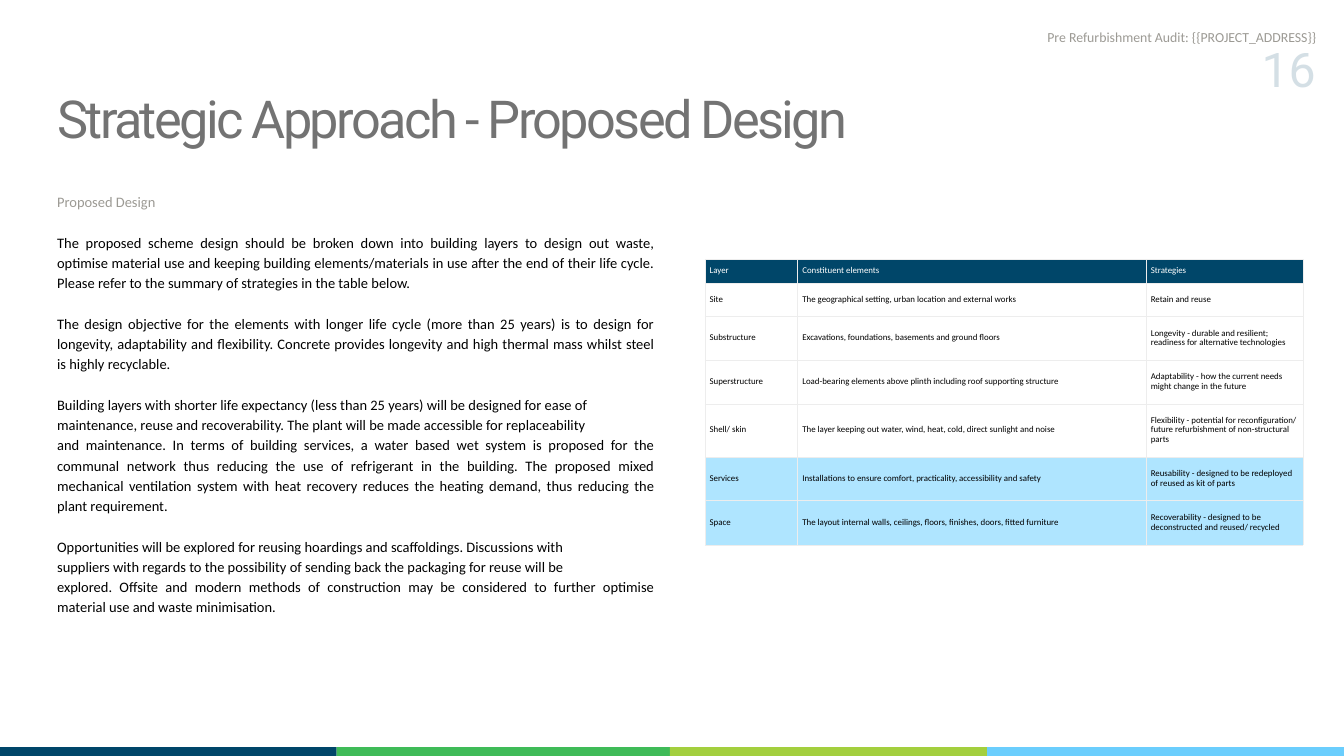
from dataclasses import dataclass
from typing import Any, NamedTuple, Optional

from lxml import etree
from pptx import Presentation
from pptx.dml.color import RGBColor
from pptx.enum.shapes import MSO_SHAPE
from pptx.enum.text import MSO_ANCHOR, MSO_AUTO_SIZE, PP_ALIGN
from pptx.oxml.ns import qn
from pptx.util import Pt

LEFT, RIGHT, JUSTIFY = PP_ALIGN.LEFT, PP_ALIGN.RIGHT, PP_ALIGN.JUSTIFY
TOP, MIDDLE = MSO_ANCHOR.TOP, MSO_ANCHOR.MIDDLE
NO_AUTOFIT = MSO_AUTO_SIZE.NONE
RECTANGLE = MSO_SHAPE.RECTANGLE
SLIDE_WIDTH, SLIDE_HEIGHT = 1440, 810


@dataclass(frozen=True)
class TextStyle:
    font: str
    size: float
    color: str
    leading: float
    align: Any = LEFT
    tracking: float = 0
    opacity: Optional[int] = None


@dataclass(frozen=True)
class Theme:
    navy: str = "004669"
    green: str = "3FBB58"
    lime: str = "A3CF3E"
    sky: str = "6BCEFD"
    pale_sky: str = "AFE5FF"
    white: str = "FFFFFF"
    rule: str = "EDEDED"
    rule_width: float = 0.59
    title: TextStyle = TextStyle("Roboto", 56, "737373", 50.4, tracking=-2.8)
    page_number: TextStyle = TextStyle("Roboto", 51.6, "004669", 72.3, RIGHT, opacity=17)
    running_head: TextStyle = TextStyle("Calibri", 14.8, "9C9A94", 20.6, RIGHT)
    subheading: TextStyle = TextStyle("Calibri", 15.5, "9C9A94", 21.7, JUSTIFY)
    body: TextStyle = TextStyle("Calibri", 15.5, "000000", 21.7, JUSTIFY)
    table_head: TextStyle = TextStyle("Calibri", 9.5, "FFFFFF", 10.3)
    table_body: TextStyle = TextStyle("Calibri", 9.5, "000000", 10.3)


class Box(NamedTuple):
    left: float
    top: float
    width: float
    height: float


class LayerRow(NamedTuple):
    height: float
    layer: str
    elements: str
    strategy: str
    fill: str
    style: TextStyle


class Band(NamedTuple):
    left: float
    right: float
    color: str


THEME = Theme()

SUBHEADING = "Proposed Design"
BODY_BLOCKS = [
    ["The proposed scheme design should be broken down into building layers to design out waste, "
     "optimise material use and keeping building elements/materials in use after the end of their "
     "life cycle. Please refer to the summary of strategies in the table below."],
    ["The design objective for the elements with longer life cycle (more than 25 years) is to design "
     "for longevity, adaptability and flexibility. Concrete provides longevity and high thermal mass "
     "whilst steel is highly recyclable."],
    ["Building layers with shorter life expectancy (less than 25 years) will be designed for ease of",
     "maintenance, reuse and recoverability. The plant will be made accessible for replaceability",
     "and maintenance. In terms of building services, a water based wet system is proposed for the "
     "communal network thus reducing the use of refrigerant in the building. The proposed mixed "
     "mechanical ventilation system with heat recovery reduces the heating demand, thus reducing the "
     "plant requirement."],
    ["Opportunities will be explored for reusing hoardings and scaffoldings. Discussions with",
     "suppliers with regards to the possibility of sending back the packaging for reuse will be",
     "explored. Offsite and modern methods of construction may be considered to further optimise "
     "material use and waste minimisation."],
]

HEAD = (THEME.navy, THEME.table_head)
PLAIN = (THEME.white, THEME.table_body)
SHORT_LIFE = (THEME.pale_sky, THEME.table_body)
COLUMN_WIDTHS = [99.4, 373.4, 168]
LAYER_ROWS = [
    LayerRow(25.2, "Layer", "Constituent elements", "Strategies", *HEAD),
    LayerRow(36, "Site", "The geographical setting, urban location and external works",
             "Retain and reuse", *PLAIN),
    LayerRow(46.8, "Substructure", "Excavations, foundations, basements and ground floors",
             "Longevity - durable and resilient; readiness for alternative technologies", *PLAIN),
    LayerRow(46.8, "Superstructure",
             "Load-bearing elements above plinth including roof supporting structure",
             "Adaptability - how the current needs might change in the future", *PLAIN),
    LayerRow(56.9, "Shell/ skin",
             "The layer keeping out water, wind, heat, cold, direct sunlight and noise",
             "Flexibility - potential for reconfiguration/ future refurbishment of non-structural parts",
             *PLAIN),
    LayerRow(46.8, "Services",
             "Installations to ensure comfort, practicality, accessibility and safety",
             "Reusability - designed to be redeployed of reused as kit of parts", *SHORT_LIFE),
    LayerRow(47.5, "Space",
             "The layout internal walls, ceilings, floors, finishes, doors, fitted furniture",
             "Recoverability - designed to be deconstructed and reused/ recycled", *SHORT_LIFE),
]

BAND_TOP, BAND_HEIGHT = 800.6, 18.7
FOOTER_BANDS = [
    Band(0, 360.7, THEME.navy),
    Band(360.7, 717.8, THEME.green),
    Band(717.8, 1057.7, THEME.lime),
    Band(1057.7, 1452.2, THEME.sky),
]


def apply_format(target: Any, values: dict[str, Any]) -> None:
    for attribute, value in values.items():
        setattr(target, attribute, value)


def write_paragraph(paragraph: Any, text: str, style: TextStyle, space_before: float = 0) -> None:
    properties = paragraph._p.get_or_add_pPr()
    properties.set("marL", "0")
    properties.set("indent", "0")
    etree.SubElement(properties, qn("a:buNone"))
    apply_format(paragraph, {"alignment": style.align, "line_spacing": Pt(style.leading),
                             "space_before": Pt(space_before), "space_after": Pt(0)})
    run = paragraph.add_run()
    run.text = text
    apply_format(run.font, {"name": style.font, "size": Pt(style.size), "bold": False})
    run.font.color.rgb = RGBColor.from_string(style.color)
    if style.tracking:
        run._r.get_or_add_rPr().set("spc", str(round(style.tracking * 100)))
    if style.opacity is not None:
        color = run._r.rPr.find(".//" + qn("a:srgbClr"))
        etree.SubElement(color, qn("a:alpha"), val=str(style.opacity * 1000))


def prepare_frame(shape: Any, box: Box) -> Any:
    """Place the shape and return its text frame, without insets."""
    apply_format(shape, {side: Pt(length) for side, length in box._asdict().items()})
    frame = shape.text_frame
    apply_format(frame, {"margin_left": 0, "margin_top": 0, "margin_right": 0, "margin_bottom": 0,
                         "word_wrap": True, "auto_size": NO_AUTOFIT, "vertical_anchor": TOP})
    return frame


def add_label(slide: Any, box: Box, text: str, style: TextStyle) -> None:
    frame = prepare_frame(slide.shapes.add_textbox(0, 0, 0, 0), box)
    write_paragraph(frame.paragraphs[0], text, style)


def fill_body(placeholder: Any, box: Box) -> None:
    frame = prepare_frame(placeholder, box)
    write_paragraph(frame.paragraphs[0], SUBHEADING, THEME.subheading)
    for block in BODY_BLOCKS:
        for index, line in enumerate(block):
            gap = 0 if index else THEME.body.leading
            write_paragraph(frame.add_paragraph(), line, THEME.body, gap)


def add_borders(cell: Any) -> None:
    properties = cell._tc.get_or_add_tcPr()
    for index, edge in enumerate(("a:lnL", "a:lnR", "a:lnT", "a:lnB")):
        line = etree.Element(qn(edge), w=str(Pt(THEME.rule_width)))
        fill = etree.SubElement(line, qn("a:solidFill"))
        etree.SubElement(fill, qn("a:srgbClr"), val=THEME.rule)
        properties.insert(index, line)


def add_layer_table(slide: Any, left: float, top: float) -> None:
    height = sum(row.height for row in LAYER_ROWS)
    table = slide.shapes.add_table(len(LAYER_ROWS), len(COLUMN_WIDTHS), Pt(left), Pt(top),
                                   Pt(sum(COLUMN_WIDTHS)), Pt(height)).table
    apply_format(table, {"first_row": False, "horz_banding": False})
    for column, width in zip(table.columns, COLUMN_WIDTHS):
        column.width = Pt(width)
    for table_row, row in zip(table.rows, LAYER_ROWS):
        table_row.height = Pt(row.height)
        for cell, text in zip(table_row.cells, (row.layer, row.elements, row.strategy)):
            apply_format(cell, {"margin_left": Pt(5), "margin_right": Pt(5), "margin_top": Pt(5),
                                "margin_bottom": Pt(5), "vertical_anchor": MIDDLE})
            cell.fill.solid()
            cell.fill.fore_color.rgb = RGBColor.from_string(row.fill)
            add_borders(cell)
            write_paragraph(cell.text_frame.paragraphs[0], text, row.style)


def add_band(slide: Any, band: Band) -> None:
    shape = slide.shapes.add_shape(RECTANGLE, Pt(band.left), Pt(BAND_TOP),
                                   Pt(band.right - band.left), Pt(BAND_HEIGHT))
    shape.shadow.inherit = False
    shape.fill.solid()
    shape.fill.fore_color.rgb = RGBColor.from_string(band.color)
    shape.line.fill.background()


def main() -> None:
    deck = Presentation()
    apply_format(deck, {"slide_width": Pt(SLIDE_WIDTH), "slide_height": Pt(SLIDE_HEIGHT)})
    slide = deck.slides.add_slide(deck.slide_layouts[1])
    title_frame = prepare_frame(slide.shapes.title, Box(61.2, 108.7, 996.5, 54))
    write_paragraph(title_frame.paragraphs[0], "Strategic Approach - Proposed Design", THEME.title)
    fill_body(slide.placeholders[1], Box(61.2, 203.8, 639.4, 464.4))
    add_layer_table(slide, 755.3, 277.9)
    for band in FOOTER_BANDS:
        add_band(slide, band)
    add_label(slide, Box(1325.5, 31.7, 84.2, 79.9), "16", THEME.page_number)
    add_label(slide, Box(878.4, 28.1, 532, 21.6),
              "Pre Refurbishment Audit: {{PROJECT_ADDRESS}}", THEME.running_head)
    deck.save("out.pptx")


if __name__ == "__main__":
    main()
